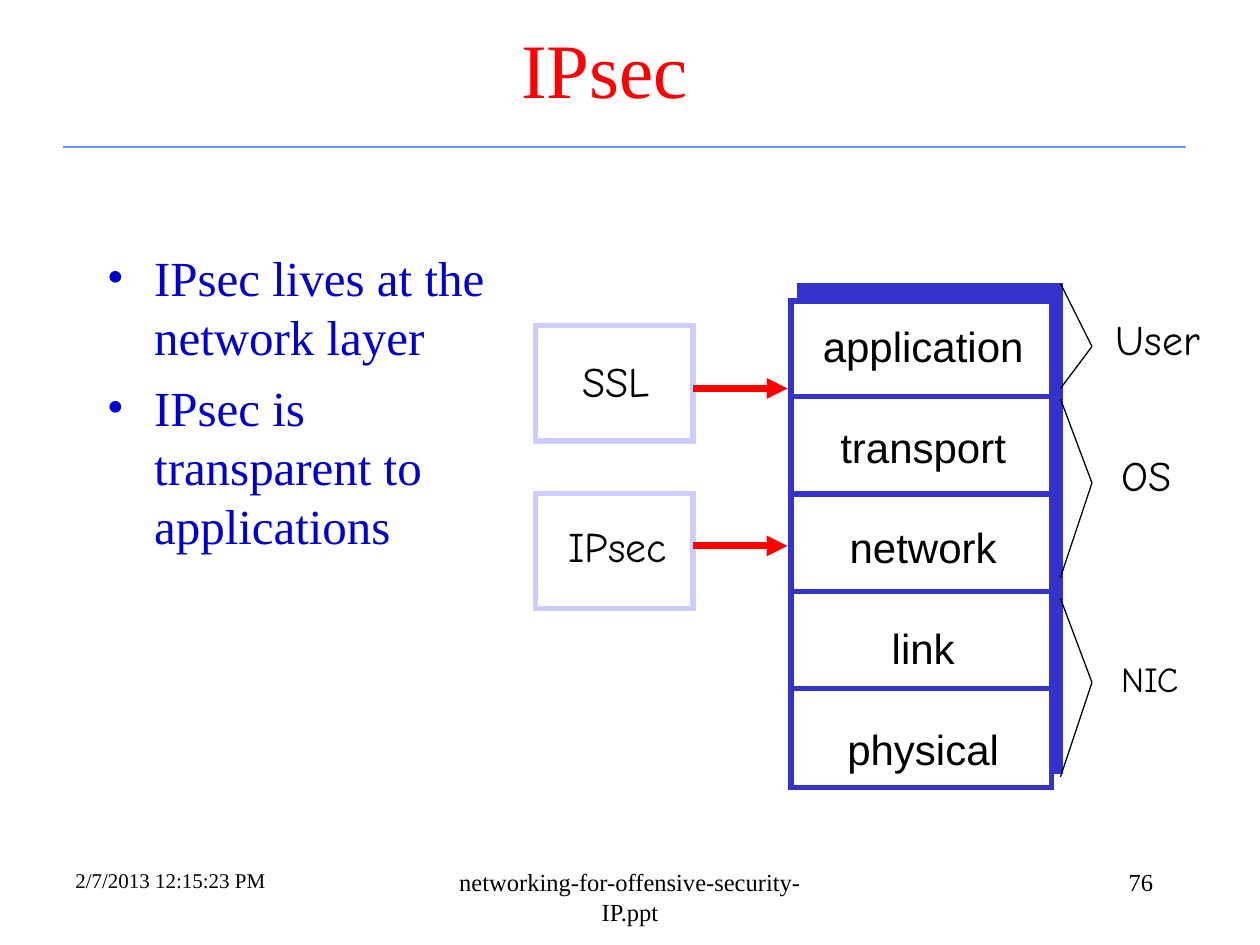
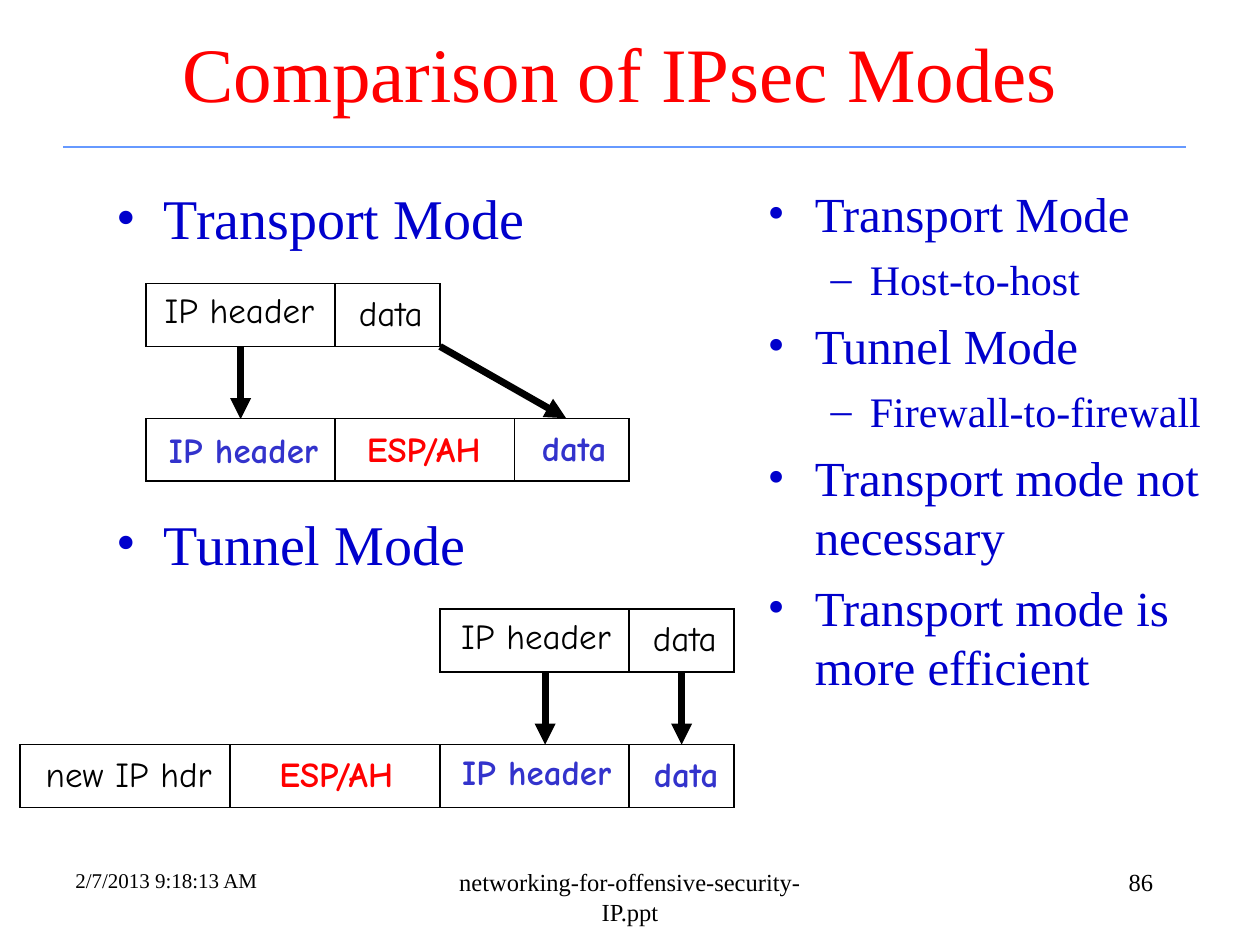
import pptx
import pptx.dml.color
import pptx.enum.shapes
import pptx.enum.text
import pptx.oxml.ns
import pptx.util
from lxml import etree

Pt = pptx.util.Pt
RGB = pptx.dml.color.RGBColor.from_string
qn = pptx.oxml.ns.qn
ALIGN = pptx.enum.text.PP_ALIGN


class Theme:
    black = "000000"
    white = "FFFFFF"
    red = "FF0000"
    body_blue = "0000CC"
    stack_blue = "3333CC"
    tag_blue = "CCCCFF"
    rule_blue = "6699FF"
    serif = "Times New Roman"
    sans = "Arial"
    hand = "Comic Neue"
    title = 44
    heading = 32
    bullet = 28
    label = 24
    small_label = 20
    footer = 14
    date = 12
    hairline = 0.75
    rule = 1
    frame = 3
    arrow = 4


def write(slide, box, lines, size, color, font, align=ALIGN.LEFT, bold=False, wrap=True):
    frame = slide.shapes.add_textbox(*map(Pt, box)).text_frame
    frame.word_wrap = wrap
    frame.text = "\n".join(lines)
    for paragraph in frame.paragraphs:
        paragraph.alignment = align
        for run in paragraph.runs:
            run.font.size = Pt(size)
            run.font.name = font
            run.font.bold = bold
            run.font.color.rgb = RGB(color)
    return frame


def draw_line(slide, ends, color, width, arrow=False):
    line = slide.shapes.add_connector(
        pptx.enum.shapes.MSO_CONNECTOR.STRAIGHT, *map(Pt, ends))
    line.line.color.rgb = RGB(color)
    line.line.width = Pt(width)
    properties = line._element.spPr
    if arrow:
        etree.SubElement(properties.find(qn("a:ln")), qn("a:tailEnd"), type="triangle")
    etree.SubElement(properties, qn("a:effectLst"))


deck = pptx.Presentation()
deck.slide_width = Pt(720)
deck.slide_height = Pt(540)

pages = [
    ("IPsec", (30.5, 11.5, 630, 54), "2/7/2013 12:15:23 PM", "76"),
    ("Comparison of IPsec Modes", (48.5, 10, 612, 62), "2/7/2013 9:18:13 AM", "86"),
]
for title, title_box, date, number in pages:
    slide = deck.slides.add_slide(deck.slide_layouts[6])
    draw_line(slide, (36, 84, 678, 84), Theme.rule_blue, Theme.rule)
    heading = write(slide, title_box, [title], Theme.title, Theme.red, Theme.serif, ALIGN.CENTER)
    heading.vertical_anchor = pptx.enum.text.MSO_ANCHOR.MIDDLE
    footers = [
        ((246, 492, 228, 36), "networking-for-offensive-security-IP.ppt", Theme.footer, ALIGN.CENTER),
        ((516, 492, 150, 36), number, Theme.footer, ALIGN.RIGHT),
        ((36, 492, 231, 36), date, Theme.date, ALIGN.LEFT),
    ]
    for box, text, size, align in footers:
        write(slide, box, [text], size, Theme.black, Theme.serif, align)

layers_slide, modes_slide = deck.slides

bullet_lists = [
    (layers_slide, (54, 138, 234, 336), Theme.bullet,
     [("IPsec lives at the network layer", 0),
      ("IPsec is transparent to applications", 0)]),
    (modes_slide, (59.5, 101.5, 348, 60), Theme.heading, [("Transport Mode", 0)]),
    (modes_slide, (59.5, 287.5, 312, 60), Theme.heading, [("Tunnel Mode", 0)]),
    (modes_slide, (431.5, 101.5, 270, 378), Theme.bullet,
     [("Transport Mode", 0),
      ("Host-to-host", 1),
      ("Tunnel Mode", 0),
      ("Firewall-to-firewall", 1),
      ("Transport mode not necessary", 0),
      ("Transport mode is more efficient", 0)]),
]
for slide, box, top_size, points in bullet_lists:
    frame = write(slide, box, [text for text, _ in points], top_size, Theme.body_blue, Theme.serif)
    for paragraph, (_, level) in zip(frame.paragraphs, points):
        size = Theme.label if level else top_size
        margin, indent, mark = (58.5, -22.5, "–") if level else (27, -27, "•")
        paragraph.level = level
        paragraph.space_before = Pt(size / 4)
        paragraph.runs[0].font.size = Pt(size)
        properties = paragraph._p.get_or_add_pPr()
        properties.set("marL", str(Pt(margin)))
        properties.set("indent", str(Pt(indent)))
        mark_color = etree.SubElement(properties, qn("a:buClr"))
        etree.SubElement(mark_color, qn("a:srgbClr"), val=Theme.body_blue)
        etree.SubElement(properties, qn("a:buFont"), typeface=Theme.serif)
        etree.SubElement(properties, qn("a:buChar"), char=mark)

packet_height = 36
packets = [
    (162, (83.5, 191.5, 251.5),
     [("IP header", 87, 161.5, Theme.black), ("data", 198, 163, Theme.black)]),
    (239, (83.5, 191.5, 294, 359.5),
     [("IP header", 89.5, 241.5, Theme.stack_blue), ("ESP/AH", 202.5, 241, Theme.red),
      ("data", 302.5, 240, Theme.stack_blue)]),
    (348, (251.5, 359.5, 419.5),
     [("IP header", 256.5, 347.5, Theme.black), ("data", 366, 349, Theme.black)]),
    (425.5, (11.5, 131.5, 251.5, 359.5, 419.5),
     [("new IP hdr", 19, 426.5, Theme.black), ("ESP/AH", 152.5, 426.5, Theme.red),
      ("IP header", 257, 425.5, Theme.stack_blue), ("data", 366.5, 426.5, Theme.stack_blue)]),
]

stack_left, stack_width, stack_height = 452, 149, 278
tag_left, tag_width, tag_height = 306, 90, 66
rectangles = [
    (layers_slide, (457, 163, stack_width, stack_height),
     Theme.stack_blue, Theme.stack_blue, Theme.frame),
    (layers_slide, (stack_left, 172, stack_width, stack_height),
     Theme.white, Theme.stack_blue, Theme.frame),
]
for tag_top in (186, 282):
    rectangles.append((layers_slide, (tag_left, tag_top, tag_width, tag_height),
                       None, Theme.tag_blue, Theme.frame))
for top, edges, _ in packets:
    rectangles.append((modes_slide, (edges[0], top, edges[-1] - edges[0], packet_height),
                       None, Theme.black, Theme.hairline))

for slide, box, fill, outline, width in rectangles:
    rectangle = slide.shapes.add_shape(
        pptx.enum.shapes.MSO_SHAPE.RECTANGLE, *map(Pt, box))
    rectangle.shadow.inherit = False
    rectangle.line.color.rgb = RGB(outline)
    rectangle.line.width = Pt(width)
    etree.SubElement(rectangle._element.spPr.find(qn("a:ln")), qn("a:miter"), lim="800000")
    if fill:
        rectangle.fill.solid()
        rectangle.fill.fore_color.rgb = RGB(fill)
    else:
        rectangle.fill.background()

layers = ["application", "transport", "network", "link", "physical"]
layer_names = write(layers_slide, (463, 179.5, 129, 266), layers, Theme.label,
                    Theme.black, Theme.sans, ALIGN.CENTER, wrap=False)
for paragraph in layer_names.paragraphs:
    paragraph.space_after = Pt(28.8)
for row in range(len(layers) - 1):
    y = 226.7 + row * stack_height / len(layers)
    draw_line(layers_slide, (stack_left, y, stack_left + stack_width - 1, y),
              Theme.stack_blue, Theme.frame)

protocols = [("SSL", (312, 199.5, 80, 36), 222), ("IPsec", (313, 294, 80, 36), 312)]
for protocol, box, arrow_y in protocols:
    write(layers_slide, box, [protocol], Theme.label, Theme.black, Theme.hand,
          ALIGN.CENTER, wrap=False)
    draw_line(layers_slide, (tag_left + tag_width, arrow_y, 450, arrow_y),
              Theme.red, Theme.arrow, arrow=True)

owners = [
    ("User", (630.5, 175.5, 63, 36), Theme.label, (162, 198, 222)),
    ("OS", (634, 253.5, 43, 36), Theme.label, (228, 276, 330)),
    ("NIC", (633.5, 372, 48, 32), Theme.small_label, (342, 390, 444)),
]
for owner, box, size, (top, tip, bottom) in owners:
    write(layers_slide, box, [owner], size, Theme.black, Theme.hand, wrap=False)
    for end in (top, bottom):
        draw_line(layers_slide, (606, end, 624, tip), Theme.black, Theme.hairline)

field_widths = {"IP header": 100, "data": 51.5, "ESP/AH": 82, "new IP hdr": 109.5}
for top, edges, fields in packets:
    for x in edges[1:-1]:
        draw_line(modes_slide, (x, top, x, top + packet_height), Theme.black, Theme.hairline)
    for field, left, field_top, color in fields:
        write(modes_slide, (left, field_top, field_widths[field], 32), [field],
              Theme.small_label, color, Theme.hand, bold=color != Theme.black, wrap=False)

field_moves = [
    (137.5, 198, 137.5, 239.5),
    (251.5, 198, 323.5, 239),
    (311.5, 383.5, 311.5, 425.5),
    (389.5, 383.5, 389.5, 425.5),
]
for ends in field_moves:
    draw_line(modes_slide, ends, Theme.black, Theme.arrow, arrow=True)

deck.save("out.pptx")
